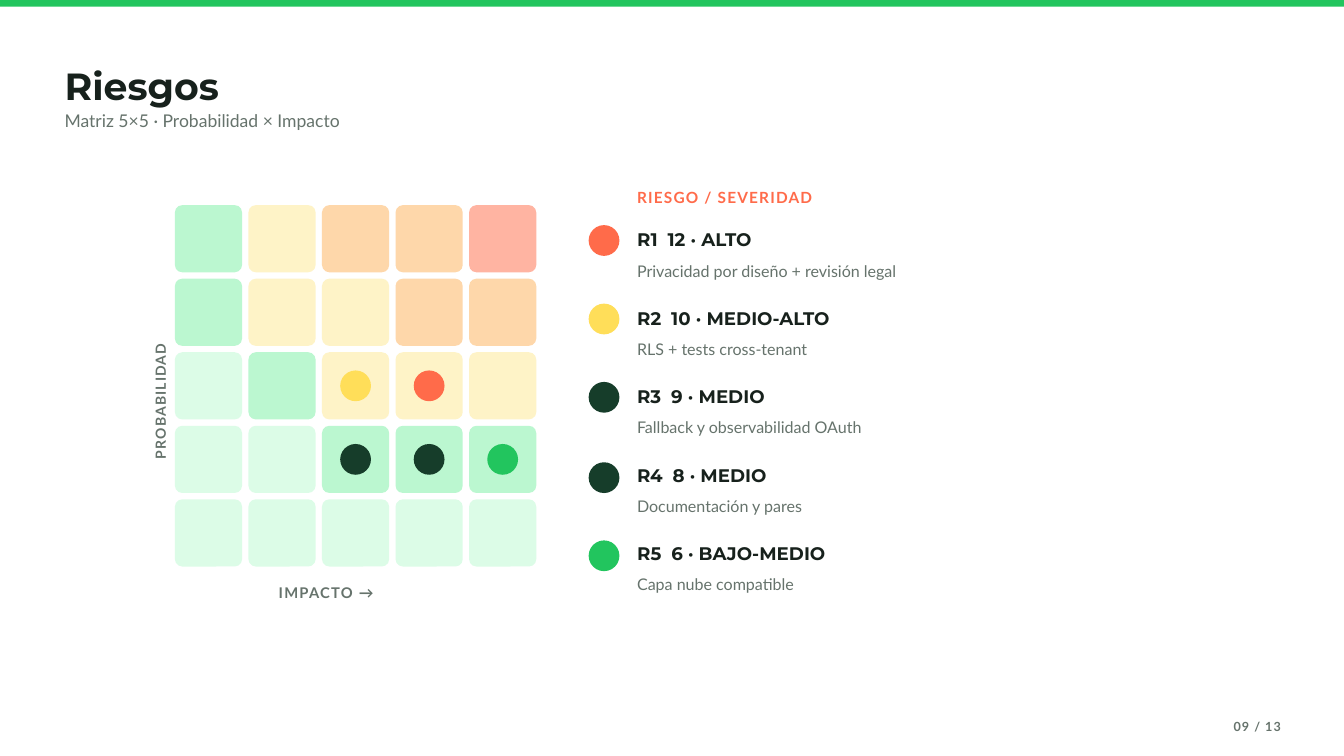
"""Build the 5×5 risk matrix slide with its severity legend."""
from dataclasses import dataclass

from pptx import Presentation
from pptx.dml.color import RGBColor
from pptx.enum.shapes import MSO_SHAPE
from pptx.enum.text import PP_ALIGN
from pptx.shapes.autoshape import Shape
from pptx.slide import Slide
from pptx.util import Pt

RECT, ROUNDED, OVAL = MSO_SHAPE.RECTANGLE, MSO_SHAPE.ROUNDED_RECTANGLE, MSO_SHAPE.OVAL
LEFT, RIGHT = PP_ALIGN.LEFT, PP_ALIGN.RIGHT


@dataclass(frozen=True)
class TextStyle:
    font: str
    size: float
    color: str
    line: float
    bold: bool = False
    spacing: float = 0


@dataclass(frozen=True)
class Theme:
    green: str = "22C55E"
    coral: str = "FF6B4A"
    yellow: str = "FFDE59"
    forest: str = "163D2A"
    levels: tuple[str, ...] = ("DCFCE7", "BBF7D0", "FEF3C7", "FED7AA", "FFB4A2")
    title: TextStyle = TextStyle("Montserrat", 40.5, "17211C", 42.5, True)
    subtitle: TextStyle = TextStyle("Lato", 18.8, "66736C", 25.3)
    x_axis: TextStyle = TextStyle("Lato", 15.8, "66736C", 22, True, 1.3)
    y_axis: TextStyle = TextStyle("Lato", 15, "66736C", 21, True, 1.2)
    header: TextStyle = TextStyle("Lato", 16.5, "FF6B4A", 23.1, True, 1.3)
    risk: TextStyle = TextStyle("Montserrat", 19.5, "17211C", 20.5, True)
    risk_gap: TextStyle = TextStyle("Montserrat", 19.5, "17211C", 20.5, True, 5.1)
    detail: TextStyle = TextStyle("Lato", 17.2, "66736C", 23.3)
    page: TextStyle = TextStyle("Lato", 13.5, "66736C", 18.9, True, 1.1)


@dataclass(frozen=True)
class Box:
    left: float
    top: float
    width: float
    height: float


@dataclass(frozen=True)
class Risk:
    code: str
    severity: str
    detail: str
    color: str
    row: int
    col: int
    dot_top: float


THEME = Theme()
LEVEL_GRID = ("12334", "12233", "01222", "00111", "00000")
GRID_LEFT, GRID_TOP, CELL, PITCH = 187.4, 219.8, 72, 78.8
CORNER = 0.11
DOT = 33
LEGEND_LEFT, LEGEND_DOT_LEFT, LEGEND_TOP, LEGEND_PITCH = 682.6, 630.7, 247.8, 84.05
DETAIL_OFFSET = 29.2

RISKS = (
    Risk("R1", "12 · ALTO", "Privacidad por diseño + revisión legal", THEME.coral, 2, 3, 241.2),
    Risk("R2", "10 · MEDIO-ALTO", "RLS + tests cross-tenant", THEME.yellow, 2, 2, 325.3),
    Risk("R3", "9 · MEDIO", "Fallback y observabilidad OAuth", THEME.forest, 3, 2, 409.2),
    Risk("R4", "8 · MEDIO", "Documentación y pares", THEME.forest, 3, 3, 495.3),
    Risk("R5", "6 · BAJO-MEDIO", "Capa nube compatible", THEME.green, 3, 4, 579),
)


def add_shape(s: Slide, kind: MSO_SHAPE, box: Box, color: str) -> Shape:
    """Draw a flat filled shape without outline or shadow."""
    sp = s.shapes.add_shape(kind, Pt(box.left), Pt(box.top), Pt(box.width), Pt(box.height))
    sp.shadow.inherit = False
    sp.fill.solid()
    sp.fill.fore_color.rgb = RGBColor.from_string(color)
    sp.line.fill.background()
    return sp


def add_text(s: Slide, box: Box, *runs: tuple[str, TextStyle],
             align: PP_ALIGN = LEFT, rotation: float = 0) -> None:
    """Write one paragraph of styled runs in a box without margins."""
    sp = s.shapes.add_textbox(Pt(box.left), Pt(box.top), Pt(box.width), Pt(box.height))
    sp.rotation = rotation
    tf = sp.text_frame
    frame_format = {"word_wrap": True, "margin_left": 0, "margin_top": 0,
                    "margin_right": 0, "margin_bottom": 0}
    for name, value in frame_format.items():
        setattr(tf, name, value)
    p = tf.paragraphs[0]
    p.alignment = align
    p.line_spacing = Pt(runs[0][1].line)
    for text, style in runs:
        r = p.add_run()
        r.text = text
        for name, value in {"name": style.font, "size": Pt(style.size), "bold": style.bold}.items():
            setattr(r.font, name, value)
        r.font.color.rgb = RGBColor.from_string(style.color)
        if style.spacing:
            r.font._element.set("spc", str(round(style.spacing * 100)))


def add_dot(s: Slide, left: float, top: float, color: str) -> None:
    """Draw a risk marker."""
    add_shape(s, OVAL, Box(left, top, DOT, DOT), color)


def add_matrix(s: Slide) -> None:
    """Draw the heat grid, its risk markers and its axis labels."""
    for row, levels in enumerate(LEVEL_GRID):
        for col, level in enumerate(levels):
            box = Box(GRID_LEFT + col * PITCH, GRID_TOP + row * PITCH, CELL, CELL)
            cell = add_shape(s, ROUNDED, box, THEME.levels[int(level)])
            cell.adjustments[0] = CORNER
    inset = (CELL - DOT) / 2
    for risk in RISKS:
        add_dot(s, GRID_LEFT + risk.col * PITCH + inset,
                GRID_TOP + risk.row * PITCH + inset, risk.color)
    add_text(s, Box(298.6, 622.2, 224.6, 22), ("IMPACTO →", THEME.x_axis))
    add_text(s, Box(87.8, 398.9, 165, 21), ("PROBABILIDAD", THEME.y_axis), rotation=270)


def add_legend(s: Slide) -> None:
    """List the risks with severity and mitigation."""
    add_text(s, Box(LEGEND_LEFT, 198, 390, 22), ("RIESGO / SEVERIDAD", THEME.header))
    for i, risk in enumerate(RISKS):
        top = LEGEND_TOP + i * LEGEND_PITCH
        add_dot(s, LEGEND_DOT_LEFT, risk.dot_top, risk.color)
        add_text(s, Box(LEGEND_LEFT, top, 322.6, 21.6), (risk.code, THEME.risk),
                 (" ", THEME.risk_gap), (risk.severity, THEME.risk))
        add_text(s, Box(LEGEND_LEFT, top + DETAIL_OFFSET, 637, 22.3), (risk.detail, THEME.detail))


def main() -> None:
    """Assemble and save the slide."""
    prs = Presentation()
    prs.slide_width, prs.slide_height = Pt(1440), Pt(810)
    s = prs.slides.add_slide(prs.slide_layouts[6])
    add_shape(s, RECT, Box(0, 0, 1440, 7.2), THEME.green)
    add_text(s, Box(69.1, 73.4, 1124.6, 42.5), ("Riesgos", THEME.title))
    add_text(s, Box(69.1, 115.2, 1124.6, 24.5),
             ("Matriz 5×5 · Probabilidad × Impacto", THEME.subtitle))
    add_matrix(s)
    add_legend(s)
    add_text(s, Box(1319.8, 767.5, 52.6, 17.3), ("09 / 13", THEME.page), align=RIGHT)
    prs.save("out.pptx")


if __name__ == "__main__":
    main()
